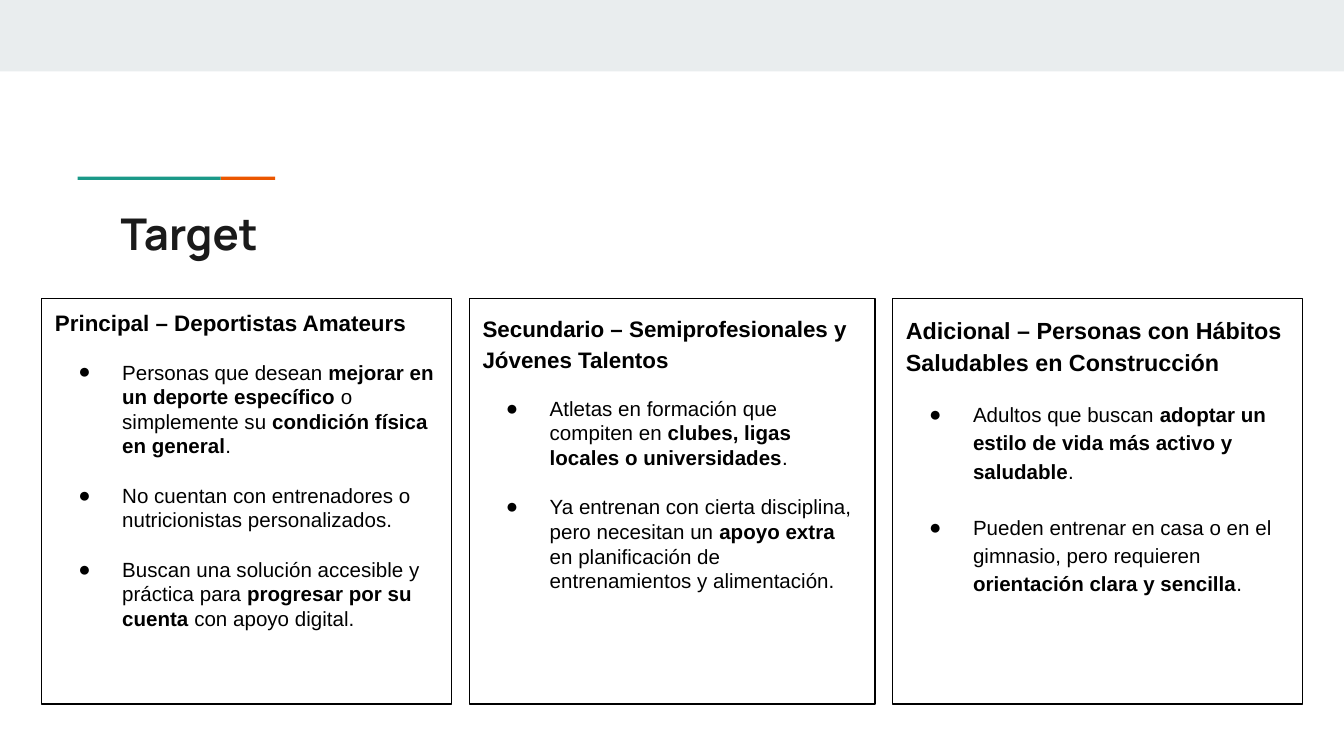
from lxml import etree
from pptx import Presentation
from pptx import util as u
from pptx.dml.color import RGBColor
from pptx.enum import shapes, text
from pptx.oxml.ns import qn

BLACK, TEAL, ORANGE, BAND, INK = "000000", "1A9988", "EB5600", "E9EDEE", "1A1A1A"
INSET = u.Cm(0.25)
CARD_LEFT, CARD_TOP, CARD_HEIGHT, CARD_GAP = 0.79, 5.64, 7.67, 0.33

# width in cm, heading, heading size, heading and bullet line spacing, bullet gap in pt, bullets
CARDS = [
    (7.75, "Principal – Deportistas Amateurs", 12, 0.95, 1.0, 13.2, [
        "Personas que desean **mejorar en un deporte específico** o simplemente su "
        "**condición física en general**.",
        "No cuentan con entrenadores o nutricionistas personalizados.",
        "Buscan una solución accesible y práctica para **progresar por su cuenta** "
        "con apoyo digital.",
    ]),
    (7.67, "Secundario – Semiprofesionales y Jóvenes Talentos", 12, 1.15, 1.0, 13.2, [
        "Atletas en formación que compiten en **clubes, ligas locales o universidades**.",
        "Ya entrenan con cierta disciplina, pero necesitan un **apoyo extra** "
        "en planificación de entrenamientos y alimentación.",
    ]),
    (7.75, "Adicional – Personas con Hábitos Saludables en Construcción", 12.5, 1.15, 1.15, 15, [
        "Adultos que buscan **adoptar un estilo de vida más activo y saludable**.",
        "Pueden entrenar en casa o en el gimnasio, pero requieren "
        "**orientación clara y sencilla**.",
    ]),
]


def rgb(value):
    return RGBColor.from_string(value)


def add_rect(slide, left, top, width, height, fill=None, line=None):
    rect = slide.shapes.add_shape(shapes.MSO_SHAPE.RECTANGLE, u.Cm(left), u.Cm(top),
                                  u.Cm(width), u.Cm(height))
    rect.shadow.inherit = False
    if fill:
        rect.fill.solid()
        rect.fill.fore_color.rgb = rgb(fill)
    else:
        rect.fill.background()
    if line:
        rect.line.color.rgb = rgb(line)
        rect.line.width = u.Pt(0.75)
    else:
        rect.line.fill.background()
    return rect


def prepare_frame(shape):
    frame = shape.text_frame
    frame.word_wrap = True
    frame.vertical_anchor = text.MSO_ANCHOR.TOP
    frame.margin_left = frame.margin_right = INSET
    frame.margin_top = frame.margin_bottom = INSET
    return frame


def write(paragraph, content, size=11, font="Arial", color=BLACK, bold=False,
          spacing=1.0, before=0):
    """Fill a paragraph; parts between double asterisks are bold."""
    paragraph.alignment = text.PP_ALIGN.LEFT
    paragraph.line_spacing = spacing
    paragraph.space_before = u.Pt(before)
    for index, part in enumerate(content.split("**")):
        run = paragraph.add_run()
        run.text = part
        run.font.size = u.Pt(size)
        run.font.name = font
        run.font.bold = bold or index % 2 == 1
        run.font.color.rgb = rgb(color)


def add_bullet(paragraph):
    props = paragraph._p.get_or_add_pPr()
    props.set("marL", str(u.Cm(1.27)))
    props.set("indent", str(-u.Cm(0.83)))
    color = etree.SubElement(props, qn("a:buClr"))
    etree.SubElement(color, qn("a:srgbClr"), val=BLACK)
    etree.SubElement(props, qn("a:buFont"), typeface="Arial")
    etree.SubElement(props, qn("a:buChar"), char="●")


def add_title(slide, title):
    box = slide.shapes.add_textbox(u.Cm(2.03), u.Cm(3.66), u.Cm(11.86), u.Cm(1.5))
    write(prepare_frame(box).paragraphs[0], title, size=23.4, font="Manrope",
          color=INK, bold=True)


def add_card(slide, left, width, heading, size, heading_spacing, spacing, gap, bullets):
    card = add_rect(slide, left, CARD_TOP, width, CARD_HEIGHT, line=BLACK)
    frame = prepare_frame(card)
    write(frame.paragraphs[0], heading, size=size, bold=True,
          spacing=heading_spacing, before=14)
    for index, bullet in enumerate(bullets):
        paragraph = frame.add_paragraph()
        write(paragraph, bullet, spacing=spacing, before=gap if index else 12)
        add_bullet(paragraph)


def main():
    deck = Presentation()
    deck.slide_width, deck.slide_height = u.Cm(25.4), u.Cm(14.29)
    slide = deck.slides.add_slide(deck.slide_layouts[6])

    add_rect(slide, 0, 0, 25.4, 1.35, fill=BAND)
    add_rect(slide, 4.17, 3.34, 1.03, 0.06, fill=ORANGE)
    add_rect(slide, 1.47, 3.34, 2.7, 0.06, fill=TEAL)
    add_title(slide, "Target")

    left = CARD_LEFT
    for width, *content in CARDS:
        add_card(slide, left, width, *content)
        left += width + CARD_GAP

    deck.save("out.pptx")


if __name__ == "__main__":
    main()
